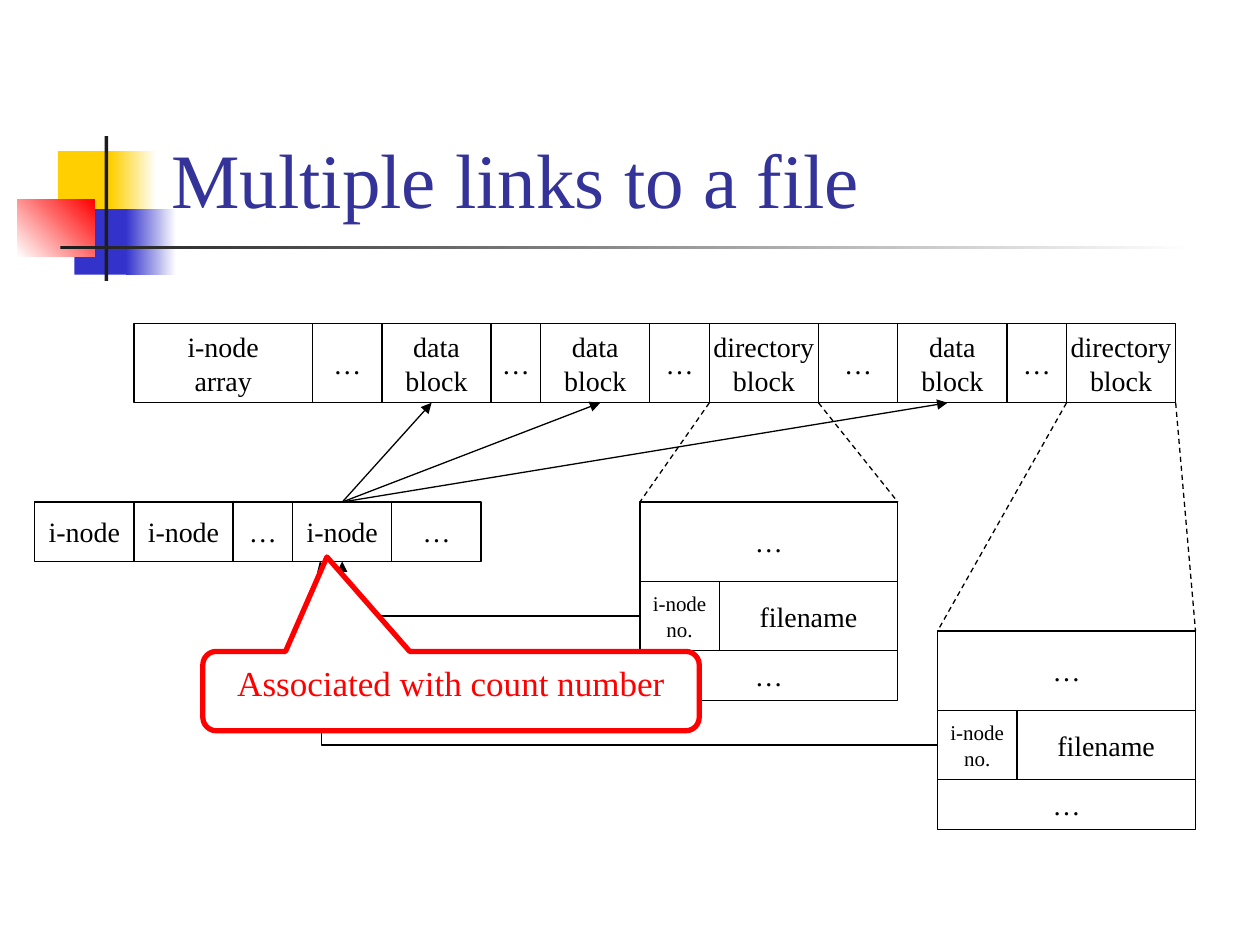
import lxml.etree
import pptx
import pptx.util
import pptx.dml.color
import pptx.enum.dml
import pptx.enum.shapes
import pptx.enum.text
import pptx.oxml.ns

Inches = pptx.util.Inches
qn = pptx.oxml.ns.qn
SHAPES = pptx.enum.shapes.MSO_SHAPE
CONNECTORS = pptx.enum.shapes.MSO_CONNECTOR
ANCHOR = pptx.enum.text.MSO_ANCHOR
ALIGN = pptx.enum.text.PP_ALIGN
FONT = "Times New Roman"

# Content: diagram lengths are columns and rows of a 2 mm grid
TITLE = "Multiple links to a file"
CALLOUT = "Associated with count number"
DATA, DIRECTORY = "data\nblock", "directory\nblock"
DISK_BLOCKS = [("i-node\narray", 18), ("…", 7), (DATA, 11), ("…", 5), (DATA, 11),
               ("…", 6), (DIRECTORY, 11), ("…", 8), (DATA, 11), ("…", 6),
               (DIRECTORY, 11)]
INODES = [("i-node", 10), ("i-node", 10), ("…", 6), ("i-node", 10), ("…", 9)]
DIRECTORY_ROWS = [([("…", 26)], 8),
                  ([("i-node\nno.", 8), ("filename", 18)], 7),
                  ([("…", 26)], 5)]
DIRECTORY_TABLES = [(61, 18), (91, 31)]
DISK_COLUMN, DISK_HEIGHT = 10, 8
INODE_ROW, INODE_HEIGHT = 18, 6
SHARED_INODE = 31
DATA_TARGETS = (40, 57, 92)
DIRECTORY_EDGES = [(68, 79), (104, 115)]

# Decoration: left, top, width, height, colours, gradient angle
DECORATION = [
    (0.46, 1.2, 0.48, 0.52, ["FFCF01"], 0),
    (0.88, 1.2, 0.36, 0.52, ["FFCF01", "FFFFFF"], 0),
    (0.59, 1.66, 0.46, 0.52, ["3333CC"], 0),
    (1.0, 1.66, 0.4, 0.52, ["3333CC", "FFFFFF"], 0),
    (0.14, 1.58, 0.61, 0.46, ["FFFFFF", "FF0000"], 45),
    (0.83, 1.08, 0.03, 1.15, ["1C1C1C"], 0),
    (0.48, 1.95, 9.0, 0.03, ["1C1C1C", "FFFFFF"], 0),
]

presentation = pptx.Presentation()
presentation.slide_width, presentation.slide_height = Inches(10), Inches(7.5)
slide = presentation.slides.add_slide(presentation.slide_layouts[6])


def color(value):
    return pptx.dml.color.RGBColor.from_string(value)


def grid_point(column, row):
    return pptx.util.Mm(7 + 2 * column), pptx.util.Mm(65.2 + 2 * row)


def write(shape, text, size=16, ink="000000", align=ALIGN.CENTER,
          anchor=ANCHOR.MIDDLE, wrap=False):
    frame = shape.text_frame
    frame.text = text
    frame.word_wrap = wrap
    frame.vertical_anchor = anchor
    for paragraph in frame.paragraphs:
        paragraph.alignment = align
        paragraph.font.size = pptx.util.Pt(size)
        paragraph.font.name = FONT
        paragraph.font.color.rgb = color(ink)


def add_box(box, kind=SHAPES.RECTANGLE, fills=(), angle=0, line=None, width=0.74):
    shape = slide.shapes.add_shape(kind, *box)
    shape.shadow.inherit = False
    if len(fills) == 2:
        shape.fill.gradient()
        shape.fill.gradient_angle = angle
        for stop, value in zip(shape.fill.gradient_stops, fills):
            stop.color.rgb = color(value)
    elif fills:
        shape.fill.solid()
        shape.fill.fore_color.rgb = color(fills[0])
    else:
        shape.fill.background()
    if line:
        shape.line.color.rgb = color(line)
        shape.line.width = pptx.util.Pt(width)
    else:
        shape.line.fill.background()
    return shape


def add_cells(column, row, height, cells):
    for text, width in cells:
        left, top = grid_point(column, row)
        right, bottom = grid_point(column + width, row + height)
        cell = add_box((left, top, right - left, bottom - top), line="000000")
        write(cell, text, size=12 if "no." in text else 16)
        column += width


def connect(start, end, kind=CONNECTORS.STRAIGHT, arrow=True):
    connector = slide.shapes.add_connector(kind, *grid_point(*start), *grid_point(*end))
    connector.line.color.rgb = color("000000")
    connector.line.width = pptx.util.Pt(0.74)
    properties = connector._element.spPr
    if arrow:
        lxml.etree.SubElement(properties.find(qn("a:ln")), qn("a:tailEnd"), type="triangle")
    else:
        connector.line.dash_style = pptx.enum.dml.MSO_LINE.DASH
    lxml.etree.SubElement(properties, qn("a:effectLst"))
    return connector


# Title and decoration
for *box, fills, angle in DECORATION:
    add_box([Inches(length) for length in box], fills=fills, angle=angle)
title = slide.shapes.add_textbox(*map(Inches, (1.26, 0.23, 8.52, 1.6)))
write(title, TITLE, size=44, ink="333399", align=ALIGN.LEFT,
      anchor=ANCHOR.BOTTOM, wrap=True)

# Disk blocks, i-nodes and directory tables
add_cells(DISK_COLUMN, 0, DISK_HEIGHT, DISK_BLOCKS)
add_cells(0, INODE_ROW, INODE_HEIGHT, INODES)
for (column, row), edges in zip(DIRECTORY_TABLES, DIRECTORY_EDGES):
    for edge, corner in zip(edges, (column, column + 26)):
        connect((edge, DISK_HEIGHT), (corner, row), arrow=False)
    for cells, height in DIRECTORY_ROWS:
        add_cells(column, row, height, cells)
        row += height

# Arrows from the shared i-node to its data, and from directories to it
for target in DATA_TARGETS:
    connect((SHARED_INODE, INODE_ROW), (target, DISK_HEIGHT))
for (column, row), target, preset in zip(
        DIRECTORY_TABLES, (SHARED_INODE, 28.75), ("bentConnector2", "bentConnector3")):
    elbow = connect((column, row + 11.5), (target, INODE_ROW + INODE_HEIGHT),
                    kind=CONNECTORS.ELBOW)
    geometry = elbow._element.spPr.find(qn("a:prstGeom"))
    geometry.set("prst", preset)
    if preset == "bentConnector3":
        lxml.etree.SubElement(geometry.find(qn("a:avLst")), qn("a:gd"),
                              name="adj1", fmla="val 99700")

# Callout
callout = add_box([Inches(length) for length in (1.61, 5.17, 3.94, 0.63)],
                  kind=SHAPES.ROUNDED_RECTANGULAR_CALLOUT, fills=["FFFFFF"],
                  line="FF0000", width=3)
for index, value in enumerate((-0.25, -1.69, 0.17)):
    callout.adjustments[index] = value
write(callout, CALLOUT, size=20, ink="FF0000", anchor=ANCHOR.TOP, wrap=True)

presentation.save("out.pptx")
